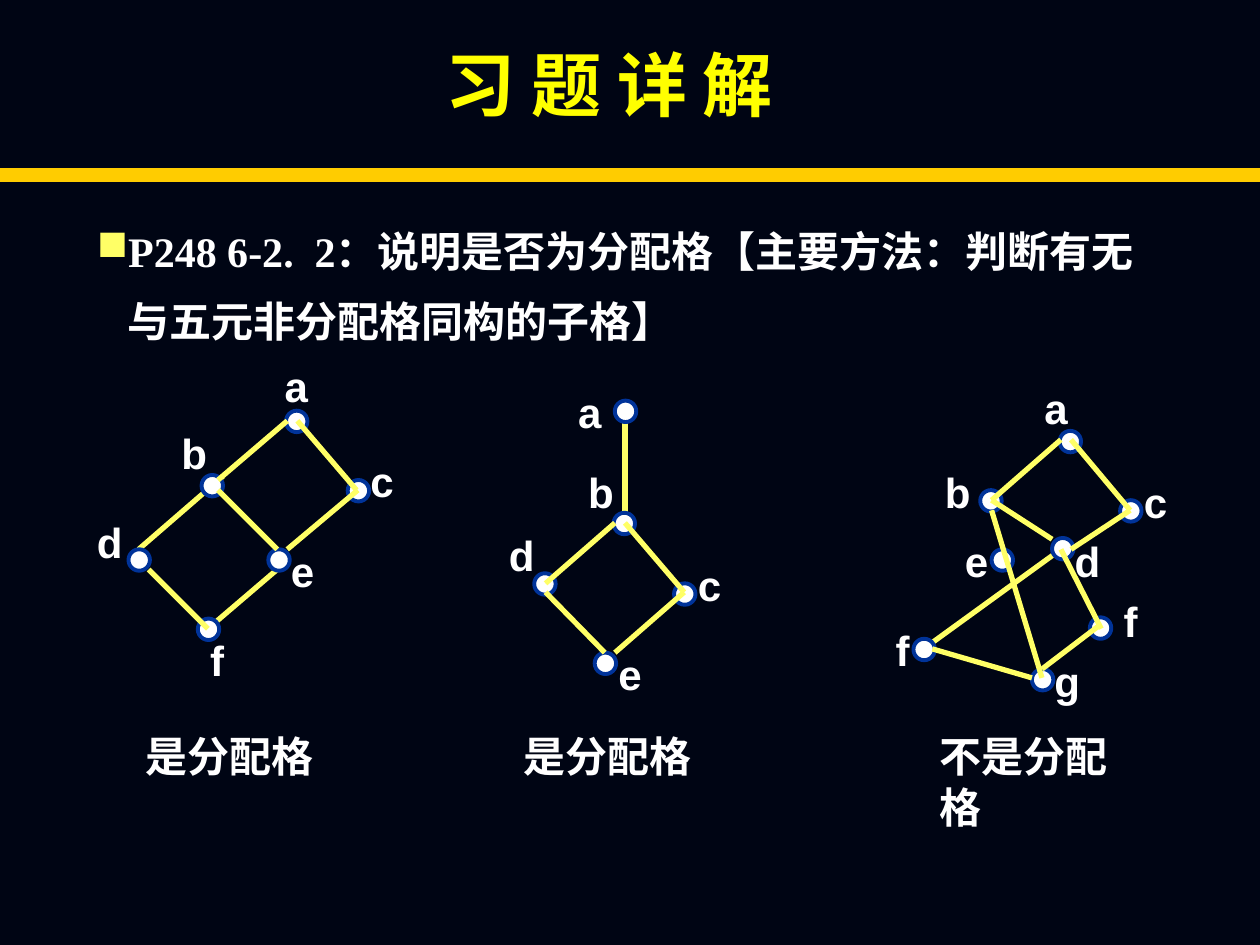
"""Build the slide on deciding whether three lattices are distributive."""
import lxml.etree
import pptx
import pptx.dml.color
import pptx.enum.shapes
import pptx.enum.text
import pptx.oxml.ns
import pptx.util

Inches = pptx.util.Inches
Pt = pptx.util.Pt
RGBColor = pptx.dml.color.RGBColor

NAVY = RGBColor(0x00, 0x05, 0x14)
WHITE = RGBColor(0xFF, 0xFF, 0xFF)
BLUE = RGBColor(0x00, 0x33, 0x99)
YELLOW = RGBColor(0xFF, 0xFF, 0x00)
PALE_YELLOW = RGBColor(0xFF, 0xFF, 0x66)
GOLD = RGBColor(0xFF, 0xCC, 0x00)

NODE_SIZE = 0.17
LABEL_SIZE = (0.39, 0.5)

LATTICES = [
    {
        "edges_behind": [(1.77, 3.78, 1.1, 4.36), (2.2, 4.52, 1.65, 4.99)],
        "nodes": [(2.27, 3.26), (1.6, 3.77), (2.13, 4.36),
                  (2.76, 3.81), (1.02, 4.36), (1.57, 4.91)],
        "edges": [(2.36, 3.34, 2.83, 3.89), (2.28, 3.34, 1.73, 3.81),
                  (2.84, 3.89, 2.28, 4.36), (1.18, 4.52, 1.65, 4.99),
                  (1.73, 3.89, 2.2, 4.36)],
        "labels": [("a", 2.16, 2.81), ("b", 1.34, 3.34), ("c", 2.84, 3.57),
                   ("d", 0.67, 4.05), ("e", 2.21, 4.28), ("f", 1.57, 4.99)],
        "verdict": ("是分配格", 1.06, 1.53),
    },
    {
        "edges_behind": [(4.96, 3.26, 4.96, 4.13)],
        "nodes": [(4.88, 3.18), (4.87, 4.07), (5.35, 4.63),
                  (4.24, 4.55), (4.72, 5.18)],
        "edges": [(4.96, 4.15, 5.43, 4.7), (4.88, 4.15, 4.33, 4.63),
                  (5.43, 4.7, 4.88, 5.18), (4.33, 4.7, 4.8, 5.18)],
        "labels": [("a", 4.49, 3.02), ("b", 4.57, 3.65), ("c", 5.44, 4.39),
                   ("d", 3.94, 4.15), ("e", 4.81, 5.1)],
        "verdict": ("是分配格", 4.06, 1.53),
    },
    {
        "edges_behind": [(8.42, 4.36, 7.33, 5.15)],
        "nodes": [(8.41, 3.42), (7.78, 3.89), (8.89, 3.97), (8.35, 4.27),
                  (7.87, 4.36), (7.25, 5.07), (8.65, 4.9), (8.19, 5.31)],
        "edges": [(8.5, 3.49, 8.97, 4.05), (8.42, 3.49, 7.87, 3.97),
                  (8.97, 4.05, 8.5, 4.36), (7.87, 3.97, 8.35, 4.28),
                  (7.87, 4.05, 8.27, 5.38), (8.19, 5.38, 7.4, 5.15),
                  (8.42, 4.36, 8.74, 4.99), (8.73, 4.96, 8.27, 5.31)],
        "labels": [("a", 8.19, 2.99), ("b", 7.4, 3.65), ("c", 8.98, 3.73),
                   ("d", 8.43, 4.2), ("e", 7.56, 4.2), ("f", 7.01, 4.91),
                   ("f", 8.82, 4.68), ("g", 8.27, 5.15)],
        "verdict": ("不是分配格", 7.36, 1.86),
    },
]


class LatticeSlide:
    def __init__(self, slide):
        self.slide = slide
        self.shapes = slide.shapes
        slide.background.fill.solid()
        slide.background.fill.fore_color.rgb = NAVY

    def text(self, words, left, top, width, height, font="Times New Roman",
             size=24, color=WHITE, wrap=True, bullet=False):
        box = self.shapes.add_textbox(
            Inches(left), Inches(top), Inches(width), Inches(height))
        box.text_frame.word_wrap = wrap
        paragraph = box.text_frame.paragraphs[0]
        paragraph.text = words
        if bullet:
            self.bullet(paragraph)
        paragraph.font.name = font
        paragraph.font.size = Pt(size)
        paragraph.font.bold = True
        paragraph.font.color.rgb = color
        return paragraph

    def bullet(self, paragraph):
        qn = pptx.oxml.ns.qn
        paragraph.line_spacing = 1.4
        properties = paragraph._p.get_or_add_pPr()
        properties.set("marL", str(Inches(0.24)))
        properties.set("indent", str(Inches(-0.24)))
        color = lxml.etree.SubElement(properties, qn("a:buClr"))
        lxml.etree.SubElement(color, qn("a:srgbClr"), val=str(PALE_YELLOW))
        lxml.etree.SubElement(properties, qn("a:buChar"), char="■")

    def line(self, x1, y1, x2, y2, color=PALE_YELLOW, width=3):
        connector = self.shapes.add_connector(
            pptx.enum.shapes.MSO_CONNECTOR.STRAIGHT,
            Inches(x1), Inches(y1), Inches(x2), Inches(y2))
        connector.line.color.rgb = color
        connector.line.width = Pt(width)
        lxml.etree.SubElement(
            connector._element.spPr, pptx.oxml.ns.qn("a:effectLst"))

    def node(self, left, top):
        shape = self.shapes.add_shape(
            pptx.enum.shapes.MSO_SHAPE.OVAL, Inches(left), Inches(top),
            Inches(NODE_SIZE), Inches(NODE_SIZE))
        shape.shadow.inherit = False
        shape.fill.solid()
        shape.fill.fore_color.rgb = WHITE
        shape.line.color.rgb = BLUE
        shape.line.width = Pt(2.25)

    def lattice(self, edges_behind, nodes, edges, labels, verdict):
        for edge in edges_behind:
            self.line(*edge)
        for node in nodes:
            self.node(*node)
        for edge in edges:
            self.line(*edge)
        for letter, left, top in labels:
            self.text(letter, left, top, *LABEL_SIZE, font="Arial")
        words, left, width = verdict
        self.text(words, left, 5.75, width, 0.5, wrap=False)


def main():
    presentation = pptx.Presentation()
    presentation.slide_width = Inches(10)
    presentation.slide_height = Inches(7.5)
    page = LatticeSlide(
        presentation.slides.add_slide(presentation.slide_layouts[6]))
    title = page.text("习 题 详 解", 1.33, 0.28, 7.01, 0.77,
                      font="Arial", size=40, color=YELLOW)
    title.alignment = pptx.enum.text.PP_ALIGN.CENTER
    page.line(0, 1.39, 10, 1.39, color=GOLD, width=8)
    page.text("P248 6-2.  2：说明是否为分配格【主要方法：判断有无与五元非分配格同构的子格】",
              0.67, 1.58, 8.7, 1.22, bullet=True)
    for lattice in LATTICES:
        page.lattice(**lattice)
    presentation.save("out.pptx")


if __name__ == "__main__":
    main()
